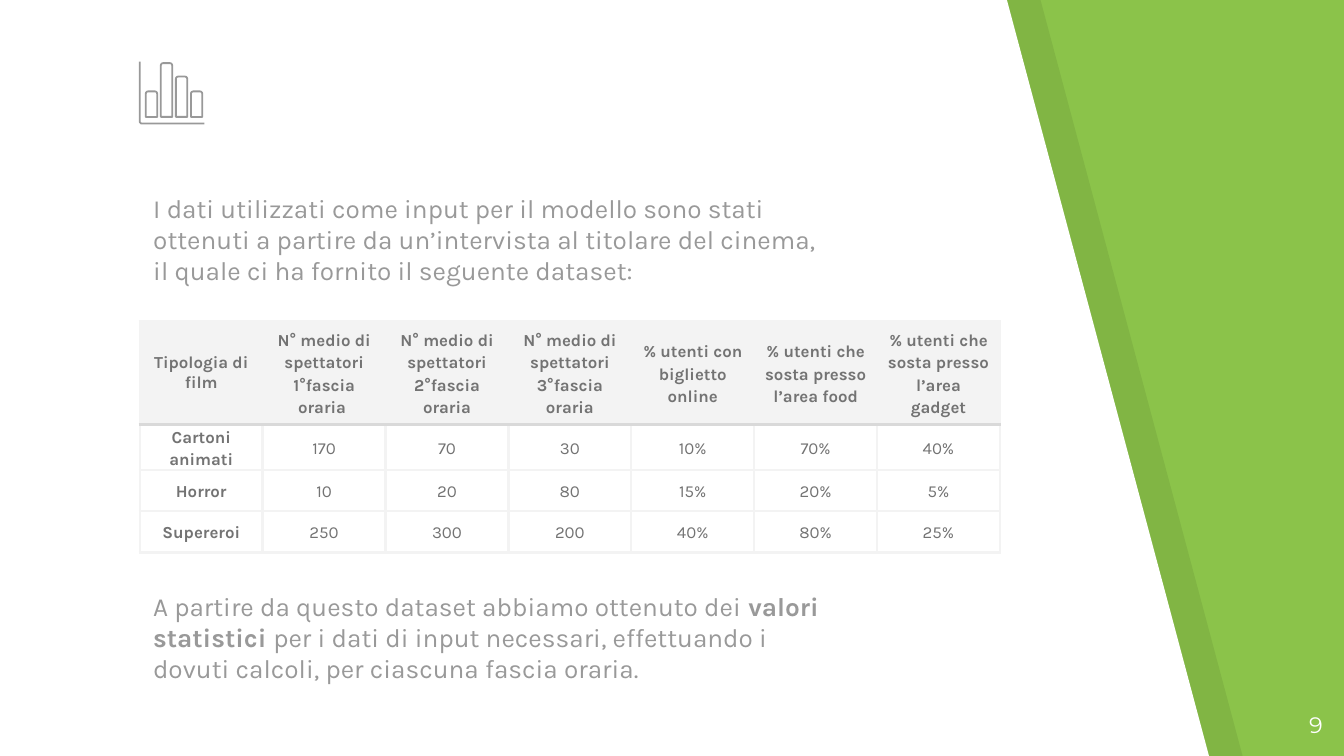
from dataclasses import dataclass

from lxml import etree
from pptx import Presentation
from pptx.dml.color import RGBColor as RGB
from pptx.enum.shapes import MSO_SHAPE as SHAPE
from pptx.enum.text import MSO_ANCHOR as ANCHOR, MSO_AUTO_SIZE as AUTO, PP_ALIGN as ALIGN
from pptx.oxml.ns import qn
from pptx.util import Inches, Pt


@dataclass(frozen=True)
class Theme:
    green: str = "8BC34A"
    white: str = "FFFFFF"
    shade: str = "000000"
    grey: str = "999999"
    cell_text: str = "737373"
    grid: str = "F3F3F3"
    header_rule: str = "D9D9D9"
    body_font: str = "Karla"
    number_font: str = "Montserrat"
    body_size: float = 14
    cell_size: float = 9
    number_size: float = 12
    grid_width: float = 1.5
    icon_width: float = 0.96


T = Theme()

INTRO = ("I dati utilizzati come input per il modello sono stati ottenuti a partire da "
         "un’intervista al titolare del cinema, il quale ci ha fornito il seguente dataset:")
CLOSING = [
    ("A partire da questo dataset abbiamo ottenuto dei ", False),
    ("valori statistici ", True),
    ("per i dati di input necessari, effettuando i dovuti calcoli, "
     "per ciascuna fascia oraria.", False),
]
DATASET = [
    ["Tipologia di film",
     "N° medio di spettatori 1°fascia oraria ",
     "N° medio di spettatori 2°fascia oraria",
     "N° medio di spettatori 3°fascia oraria",
     "% utenti con biglietto online",
     "% utenti che sosta presso l’area food",
     "% utenti che sosta presso l’area gadget"],
    ["Cartoni animati", "170", "70", "30", "10%", "70%", "40%"],
    ["Horror", "10", "20", "80", "15%", "20%", "5%"],
    ["Supereroi", "250", "300", "200", "40%", "80%", "25%"],
]


def inches(*values):
    return [Inches(v) for v in values]


def style_run(r, size, color, font=T.body_font, bold=False):
    r.font.size = Pt(size)
    r.font.name = font
    r.font.bold = bold
    r.font.color.rgb = RGB.from_string(color)


def setup_frame(tf, anchor, bottom=0.1):
    tf.word_wrap = True
    tf.auto_size = AUTO.NONE
    tf.vertical_anchor = anchor
    tf.margin_left = tf.margin_top = tf.margin_right = Inches(0.1)
    tf.margin_bottom = Inches(bottom)


def outline(shapes, points, close):
    (x, y), *rest = [inches(*point) for point in points]
    builder = shapes.build_freeform(x, y)
    builder.add_line_segments(rest, close=close)
    sp = builder.convert_to_shape()
    sp.shadow.inherit = False
    return sp


def add_layout_band(s, left, top, width, height, color, alpha=None):
    slant = 1.51
    points = [(left, top), (left, top + height),
              (left + width, top + height), (left + width - slant, top)]
    sp = outline(s.shapes, points, True)
    sp.fill.solid()
    sp.fill.fore_color.rgb = RGB.from_string(color)
    sp.line.fill.background()
    if alpha is not None:
        clr = sp.fill._xPr.find(qn("a:solidFill"))[0]
        etree.SubElement(clr, qn("a:alpha")).set("val", str(alpha * 1000))
    s.slide_layout.shapes._spTree.append(sp._element)


def add_intro(s, left, top, width, height):
    title = s.shapes.title
    title.left, title.top, title.width, title.height = inches(left, top, width, height)
    tf = title.text_frame
    tf.text = INTRO
    setup_frame(tf, ANCHOR.BOTTOM)
    p = tf.paragraphs[0]
    p.alignment = ALIGN.LEFT
    style_run(p.runs[0], T.body_size, T.grey)


def add_closing(s, left, top, width, height):
    tf = s.shapes.add_textbox(*inches(left, top, width, height)).text_frame
    setup_frame(tf, ANCHOR.BOTTOM, bottom=0.33)
    for text, bold in CLOSING:
        r = tf.paragraphs[0].add_run()
        r.text = text
        style_run(r, T.body_size, T.grey, bold=bold)


def add_page_number(s, left, top, width, height):
    tf = s.shapes.add_textbox(*inches(left, top, width, height)).text_frame
    tf.text = "9"
    setup_frame(tf, ANCHOR.TOP)
    p = tf.paragraphs[0]
    p.alignment = ALIGN.RIGHT
    style_run(p.runs[0], T.number_size, T.white, T.number_font)


def set_borders(cell, top, bottom):
    tc_pr = cell._tc.get_or_add_tcPr()
    for side, color in (("L", T.grid), ("R", T.grid), ("T", top), ("B", bottom)):
        ln = etree.SubElement(tc_pr, qn(f"a:ln{side}"), w=str(Pt(T.grid_width)))
        fill = etree.SubElement(ln, qn("a:solidFill"))
        etree.SubElement(fill, qn("a:srgbClr"), val=color)


def fill_cell(cell, text, row, col):
    header, corner = row == 0, row == col == 0
    set_borders(cell, T.header_rule if row == 1 else T.grid,
                T.header_rule if header else T.grid)
    if header:
        cell.fill.solid()
        cell.fill.fore_color.rgb = RGB.from_string(T.grid)
    else:
        cell.fill.background()
    cell.vertical_anchor = ANCHOR.MIDDLE
    cell.margin_left = cell.margin_right = Inches(0.1 if corner else 0)
    cell.margin_top = cell.margin_bottom = Inches(0.07 if corner else 0)
    cell.text_frame.text = text
    p = cell.text_frame.paragraphs[0]
    p.alignment = ALIGN.CENTER
    if not corner:
        p.line_spacing = 1.15
        for side in ("marL", "marR"):
            p._p.get_or_add_pPr().set(side, str(Inches(0.08)))
    style_run(p.runs[0], T.cell_size, T.cell_text, bold=header or col == 0)


def add_dataset(s, left, top, width, height):
    rows, cols = len(DATASET), len(DATASET[0])
    header_height = 0.77
    body_height = (height - header_height) / (rows - 1)
    table = s.shapes.add_table(rows, cols, *inches(left, top, width, height)).table
    table.horz_banding = False
    table.first_row = False
    for column in table.columns:
        column.width = Inches(width / cols)
    for i, values in enumerate(DATASET):
        table.rows[i].height = Inches(body_height if i else header_height)
        for j, text in enumerate(values):
            fill_cell(table.cell(i, j), text, i, j)


def add_chart_icon(s, left, top, width, height):
    group = s.shapes.add_group_shape()
    corner, bar_width, base = 0.01, 0.085, top + height - 0.05
    bottom = top + height
    parts = [outline(group.shapes, [
        (left, top), (left, bottom - corner),
        (left + corner, bottom), (left + width, bottom)], False)]
    for i, bar_height in enumerate((0.19, 0.4, 0.3, 0.19)):
        bar = group.shapes.add_shape(SHAPE.ROUND_2_SAME_RECTANGLE, *inches(
            left + 0.045 + i * 0.112, base - bar_height, bar_width, bar_height))
        bar.adjustments[0] = 0.2
        bar.shadow.inherit = False
        parts.append(bar)
    for sp in parts:
        sp.fill.background()
        sp.line.color.rgb = RGB.from_string(T.grey)
        sp.line.width = Pt(T.icon_width)


def main():
    prs = Presentation()
    prs.slide_width, prs.slide_height = inches(10, 10 * 9 / 16)
    s = prs.slides.add_slide(prs.slide_layouts[5])
    s.background.fill.solid()
    s.background.fill.fore_color.rgb = RGB.from_string(T.green)
    add_layout_band(s, 0.25, -0.01, 9, 5.65, T.shade, alpha=7)
    add_layout_band(s, 0, -0.01, 9, 5.65, T.white)
    add_intro(s, 1.04, 1.37, 5.25, 0.86)
    add_dataset(s, 1.04, 2.39, 6.4, 1.69)
    add_page_number(s, 9.34, 5.19, 0.6, 0.43)
    add_closing(s, 1.04, 4.97, 5.25, 0.45)
    add_chart_icon(s, 1.04, 0.46, 0.48, 0.46)
    prs.save("out.pptx")


if __name__ == "__main__":
    main()
